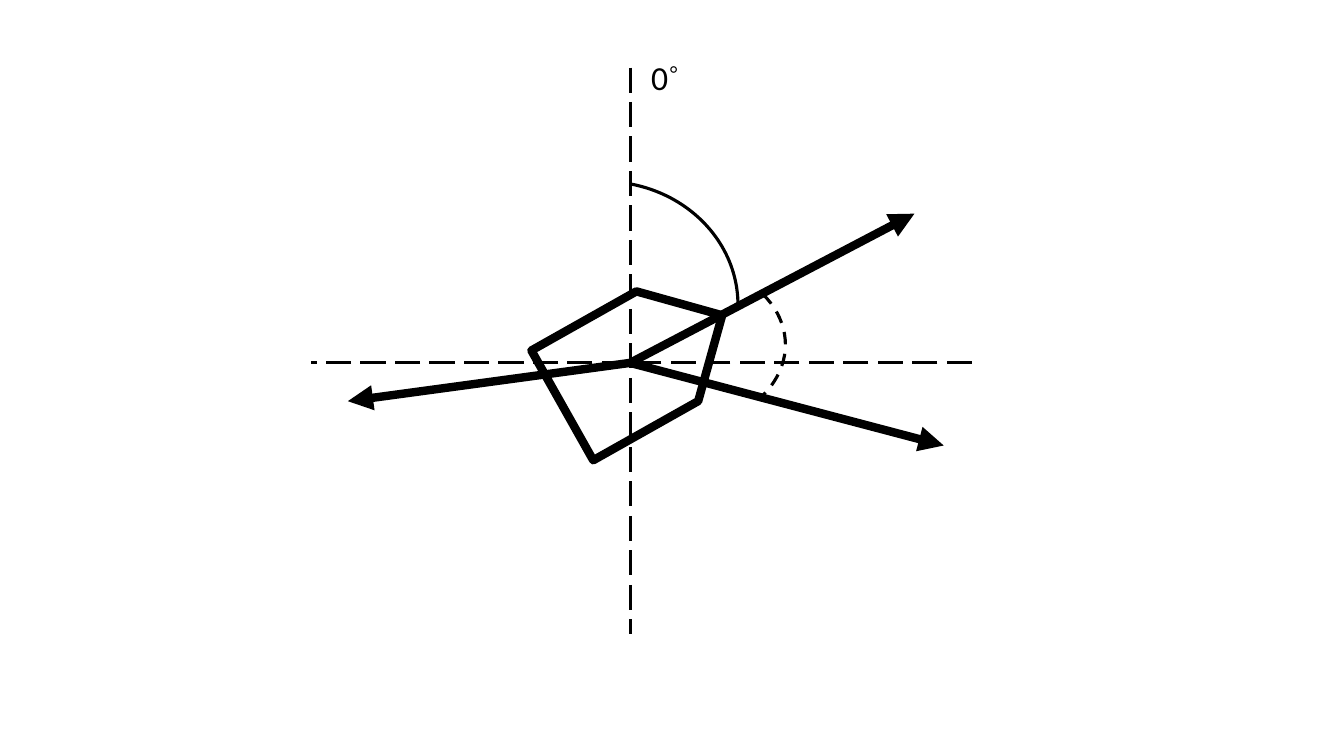
from lxml import etree
from pptx import Presentation
from pptx.dml.color import RGBColor
from pptx.enum import dml, shapes, text
from pptx.oxml.ns import qn
from pptx.util import Inches, Pt

BLACK = "000000"
ORIGIN = (6.25, 3.6)
THIN, THICK = 2.25, 6


def color(hex_value):
    return RGBColor.from_string(hex_value)


def style_line(sp, width, dash=None):
    sp.line.color.rgb = color(BLACK)
    sp.line.width = Pt(width)
    if dash is not None:
        sp.line.dash_style = dash


def add_line(group, start, end, width, dash=None, arrow=False):
    points = [Inches(v) for v in (*start, *end)]
    cxn = group.shapes.add_connector(shapes.MSO_CONNECTOR.STRAIGHT, *points)
    style_line(cxn, width, dash)
    if arrow:
        etree.SubElement(cxn.line._get_or_add_ln(), qn("a:tailEnd"), type="triangle")
    etree.SubElement(cxn._element.spPr, qn("a:effectLst"))


def add_outline(group, kind, box, width, dash=None):
    """Add an unfilled preset shape."""
    sp = group.shapes.add_shape(kind, *[Inches(v) for v in box])
    sp.shadow.inherit = False
    sp.fill.background()
    style_line(sp, width, dash)
    return sp


def add_arc(group, box, start_deg, end_deg, dash=None):
    sp = add_outline(group, shapes.MSO_SHAPE.ARC, box, THIN, dash)
    for i, degrees in enumerate((start_deg, end_deg)):
        sp.adjustments[i] = degrees * 0.6  # 60000 units per degree, scaled by 100000


def add_label(group, box, parts, size):
    """Add one line of text made of (text, font) parts."""
    tf = group.shapes.add_textbox(*[Inches(v) for v in box]).text_frame
    tf.word_wrap = True
    tf.auto_size = text.MSO_AUTO_SIZE.SHAPE_TO_FIT_TEXT
    p = tf.paragraphs[0]
    for content, font in parts:
        r = p.add_run()
        r.text = content
        r.font.name = font
        r.font.size = Pt(size)
        r.font.color.rgb = color(BLACK)


def main():
    prs = Presentation()
    prs.slide_width, prs.slide_height = Inches(13.33), Inches(7.5)
    slide = prs.slides.add_slide(prs.slide_layouts[6])
    diagram = slide.shapes.add_group_shape()

    x, y = ORIGIN
    long_dash = dml.MSO_LINE.LONG_DASH
    add_line(diagram, (x, 0.67), (x, 6.29), THIN, long_dash)
    add_line(diagram, (9.64, y), (3.08, y), THIN, long_dash)
    add_label(diagram, (6.36, 0.52, 0.65, 0.5),
              [("0", "Calibri"), ("˚", "TeX Gyre Schola")], 24)

    body = add_outline(diagram, shapes.MSO_SHAPE.PENTAGON,
                       (5.46, 2.95, 1.82, 1.25), THICK)
    body.rotation = 330.6

    for tip in ((9.07, 2.12), (9.36, 4.42), (3.45, 3.98)):
        add_line(diagram, ORIGIN, tip, THICK, arrow=True)

    add_arc(diagram, (4.65, 1.8, 2.67, 2.45), 282.44, 0)
    add_arc(diagram, (5.59, 2.59, 2.2, 1.66), 330.28, 31.98, dml.MSO_LINE.DASH)

    prs.save("out.pptx")


if __name__ == "__main__":
    main()
